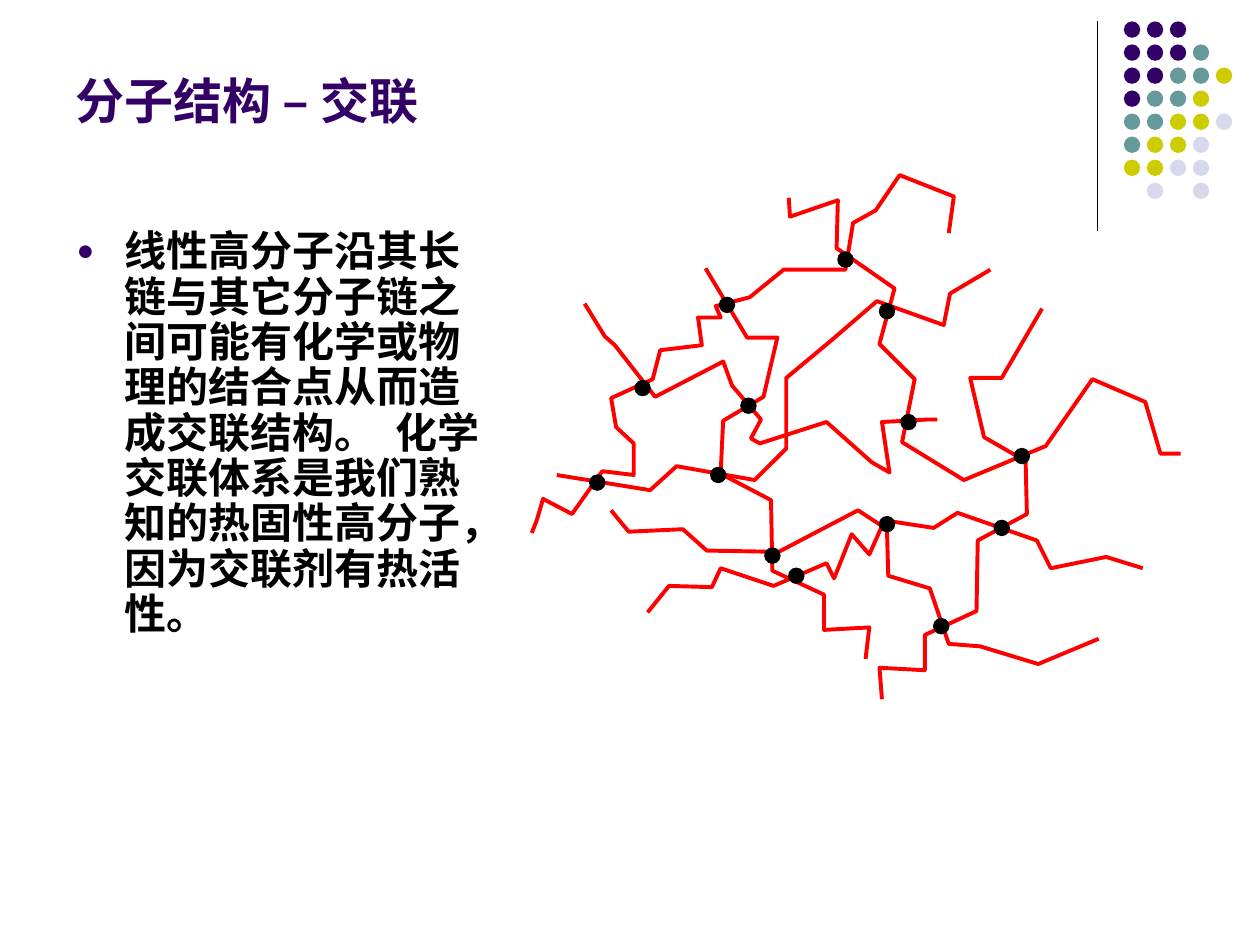
from lxml import etree
from pptx import Presentation
from pptx.dml.color import RGBColor
from pptx.enum import shapes, text
from pptx.oxml import ns
from pptx.util import Inches, Pt

PURPLE = RGBColor(0x33, 0x00, 0x66)
TEAL = RGBColor(0x66, 0x99, 0x99)
YELLOW = RGBColor(0xCC, 0xCC, 0x00)
LAVENDER = RGBColor(0xD8, 0xD8, 0xEC)
RED = RGBColor(0xFF, 0x00, 0x00)
BLACK = RGBColor(0x00, 0x00, 0x00)

TITLE = "分子结构 – 交联"
BODY = ("线性高分子沿其长链与其它分子链之间可能有化学或物理的结合点从而造成交联结构。"
        "  化学交联体系是我们熟知的热固性高分子，因为交联剂有热活性。")

DOT_COLORS = {"P": PURPLE, "T": TEAL, "Y": YELLOW, "L": LAVENDER}
DOT_ROWS = ["PPP", "PPPT", "PPTTY", "PTTY", "TTYYL", "TYYL", "YYLL", ".L.L"]
DOT_COLUMNS = 5
DOT_SIZE = Inches(0.13)

UNIT = Inches(0.01)
NODE_SIZE = Inches(0.12)
CHAINS = [
    [(226, 57), (227, 72), (265, 59), (264, 97), (310, 129), (298, 173), (326, 201),
     (316, 251), (365, 281), (430, 254), (467, 201), (509, 219), (521, 260), (537, 260)],
    [(300, 455), (298, 430), (334, 432), (334, 404), (375, 385), (376, 329), (415, 308),
     (414, 266), (381, 247), (370, 200), (395, 200), (427, 145)],
    [(85, 305), (99, 322), (142, 320), (161, 337), (218, 338), (281, 305), (304, 320),
     (305, 357), (338, 367), (353, 411), (378, 413), (424, 427), (472, 407)],
    [(42, 277), (116, 289), (137, 270), (199, 281), (224, 256), (224, 200), (260, 170),
     (296, 139), (349, 158), (354, 133), (386, 114)],
    [(287, 423), (290, 398), (254, 400), (254, 372), (213, 353), (212, 297), (172, 276),
     (174, 234), (206, 215), (217, 168), (193, 168), (160, 113)],
    [(22, 323), (26, 313), (31, 296), (54, 308), (78, 274), (103, 277), (103, 252),
     (89, 239), (85, 216), (118, 201), (124, 178), (157, 174), (154, 152), (172, 152),
     (168, 143), (195, 136), (222, 114), (271, 114), (277, 77), (295, 67), (314, 39),
     (357, 56), (353, 85)],
    [(114, 386), (131, 365), (165, 366), (172, 351), (214, 365), (256, 347), (262, 359),
     (276, 324), (290, 340), (302, 313), (341, 319), (360, 307), (423, 329), (434, 351),
     (478, 342), (507, 351)],
    [(64, 141), (80, 167), (88, 174), (120, 215), (174, 187), (181, 206), (204, 233),
     (196, 248), (203, 252), (256, 235), (292, 267), (306, 275), (300, 235), (336, 233),
     (344, 233)],
]
NODES = [(170, 277), (177, 142), (271, 106), (304, 147), (347, 397), (395, 319),
         (411, 262), (304, 316), (213, 341), (232, 357), (74, 283), (110, 208),
         (194, 222), (321, 235)]


def add_circle(group, left, top, size, color):
    """Add a plain filled circle."""
    circle = group.shapes.add_shape(shapes.MSO_SHAPE.OVAL, left, top, size, size)
    circle.shadow.inherit = False
    circle.fill.solid()
    circle.fill.fore_color.rgb = color
    circle.line.fill.background()
    return circle


def style_text(paragraph, size, color):
    """Format a left-aligned bold paragraph."""
    paragraph.alignment = text.PP_ALIGN.LEFT
    for run in paragraph.runs:
        run.font.name = "Arial"
        run.font.size = Pt(size)
        run.font.bold = True
        run.font.color.rgb = color


def add_bullet(paragraph, indent):
    """Give a paragraph a hanging purple bullet."""
    properties = paragraph._p.get_or_add_pPr()
    properties.set("marL", str(indent))
    properties.set("indent", str(-indent))
    color = etree.SubElement(properties, ns.qn("a:buClr"))
    etree.SubElement(color, ns.qn("a:srgbClr"), val=str(PURPLE))
    etree.SubElement(properties, ns.qn("a:buSzPct"), val="70000")
    etree.SubElement(properties, ns.qn("a:buFont"), typeface="Arial")
    etree.SubElement(properties, ns.qn("a:buChar"), char="●")


def add_corner_rule(slide, left, top, height):
    """Draw the thin vertical rule beside the dot pattern."""
    rule = slide.shapes.add_connector(
        shapes.MSO_CONNECTOR.STRAIGHT, left, top, left, top + height)
    rule.line.color.rgb = BLACK
    rule.line.width = Pt(0.75)
    etree.SubElement(rule._element.spPr, ns.qn("a:effectLst"))


def add_dot_pattern(slide, left, top, width, height):
    """Fill the box with the grid of coloured dots."""
    group = slide.shapes.add_group_shape()
    column_step = (width - DOT_SIZE) / (DOT_COLUMNS - 1)
    row_step = (height - DOT_SIZE) / (len(DOT_ROWS) - 1)
    for row, letters in enumerate(DOT_ROWS):
        for column, letter in enumerate(letters):
            if letter in DOT_COLORS:
                add_circle(group, round(left + column * column_step),
                           round(top + row * row_step), DOT_SIZE, DOT_COLORS[letter])


def place_title(slide, left, top, width, height):
    """Move, fill and format the title placeholder."""
    title = slide.shapes.title
    title.left, title.top, title.width, title.height = left, top, width, height
    frame = title.text_frame
    frame.text = TITLE
    frame.vertical_anchor = text.MSO_ANCHOR.BOTTOM
    style_text(frame.paragraphs[0], 28, PURPLE)


def add_body(slide, left, top, width, height):
    """Add the bulleted explanation."""
    frame = slide.shapes.add_textbox(left, top, width, height).text_frame
    frame.word_wrap = True
    frame.text = BODY
    paragraph = frame.paragraphs[0]
    add_bullet(paragraph, Inches(0.38))
    paragraph.line_spacing = 0.9
    style_text(paragraph, 24, BLACK)


def add_network(slide, left, top):
    """Draw the polymer chains and their crosslink nodes from a corner."""
    group = slide.shapes.add_group_shape()
    for start, *points in CHAINS:
        builder = group.shapes.build_freeform(*start, scale=UNIT)
        builder.add_line_segments(points, close=False)
        chain = builder.convert_to_shape(left, top)
        chain.shadow.inherit = False
        chain.fill.background()
        chain.line.color.rgb = RED
        chain.line.width = Pt(2.25)
    for x, y in NODES:
        node = add_circle(group, left + x * UNIT - NODE_SIZE // 2,
                          top + y * UNIT - NODE_SIZE // 2, NODE_SIZE, BLACK)
        node.line.color.rgb = BLACK
        node.line.width = Pt(0.75)


def main():
    """Build the crosslinking slide."""
    presentation = Presentation()
    presentation.slide_width, presentation.slide_height = Inches(10), Inches(7.5)
    slide = presentation.slides.add_slide(presentation.slide_layouts[5])
    add_corner_rule(slide, Inches(8.71), Inches(0.17), Inches(1.66))
    add_dot_pattern(slide, Inches(8.92), Inches(0.17), Inches(0.86), Inches(1.41))
    place_title(slide, Inches(0.5), Inches(0.44), Inches(8.25), Inches(0.64))
    add_body(slide, Inches(0.51), Inches(1.78), Inches(3.48), Inches(4.1))
    add_network(slide, Inches(4), Inches(1))
    presentation.save("out.pptx")


if __name__ == "__main__":
    main()
